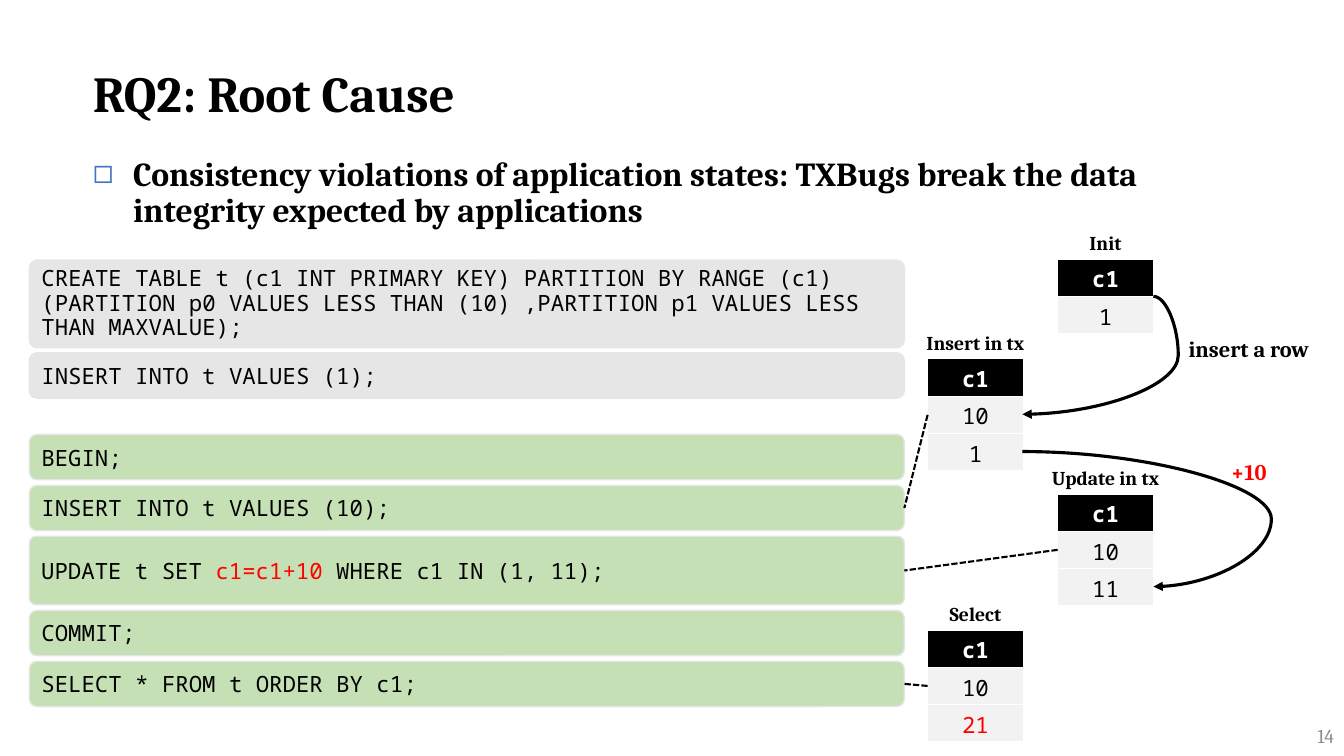
import pptx
import pptx.dml.color
import pptx.enum.dml
import pptx.enum.shapes
import pptx.enum.text
import pptx.oxml.ns
import pptx.util
from lxml import etree

PX = 9144
SERIF = "Cambria"
MONO = "Noto Sans Mono"
BLACK, WHITE, RED = "000000", "FFFFFF", "FF0000"
GREY, GREEN, CELL = "E7E6E6", "C5E0B4", "F2F2F2"
ALIGN = pptx.enum.text.PP_ALIGN
ANCHOR = pptx.enum.text.MSO_ANCHOR
FIT = pptx.enum.text.MSO_AUTO_SIZE
CONNECTOR = pptx.enum.shapes.MSO_CONNECTOR


def px(*lengths):
    return [pptx.util.Emu(round(length * PX)) for length in lengths]


def rgb(hex_color):
    return pptx.dml.color.RGBColor.from_string(hex_color)


def apply(target, values):
    for name, value in values.items():
        setattr(target, name, value)


def child(parent, tag, **attributes):
    return etree.SubElement(parent, pptx.oxml.ns.qn(tag), attributes)


def write(frame, runs, size, font=SERIF, bold=False, align=ALIGN.LEFT, spacing=None):
    paragraph = frame.paragraphs[0]
    apply(paragraph, {"alignment": align, "line_spacing": spacing,
                      "space_before": pptx.util.Pt(0)})
    for text, color in runs:
        run = paragraph.add_run()
        run.text = text
        apply(run.font, {"name": font, "size": pptx.util.Pt(size), "bold": bold})
        run.font.color.rgb = rgb(color)


def place(shape, box):
    apply(shape, dict(zip(("left", "top", "width", "height"), px(*box))))


def heading(slide, box, text):
    title = slide.shapes.title
    place(title, box)
    apply(title.text_frame, {"word_wrap": True, "auto_size": FIT.NONE,
                             "vertical_anchor": ANCHOR.BOTTOM})
    write(title.text_frame, [(text, BLACK)], 36, bold=True, spacing=pptx.util.Pt(46.7))


def finding(slide, box, text):
    body = slide.placeholders[1]
    place(body, box)
    apply(body.text_frame, {"word_wrap": True, "auto_size": FIT.NONE,
                            "vertical_anchor": ANCHOR.TOP})
    indent = px(40)[0]
    properties = body.text_frame.paragraphs[0]._p.get_or_add_pPr()
    properties.set("marL", str(indent))
    properties.set("indent", str(-indent))
    child(child(properties, "a:buClr"), "a:srgbClr", val="4472C4")
    child(properties, "a:buChar", char="◻")
    write(body.text_frame, [(text, BLACK)], 24, bold=True, spacing=0.9)


def label(slide, box, text, size=14, color=BLACK, bold=True,
          align=ALIGN.CENTER, anchor=ANCHOR.TOP):
    note = slide.shapes.add_textbox(*px(*box))
    apply(note.text_frame, {"word_wrap": True, "vertical_anchor": anchor})
    write(note.text_frame, [(text, color)], size, bold=bold, align=align)


def statements(slide, box, fill, rows):
    left, top, width, height = box
    gap = (height - sum(row[0] for row in rows)) / (len(rows) - 1)
    placed = []
    for row_height, corner, runs in rows:
        statement = slide.shapes.add_shape(
            pptx.enum.shapes.MSO_SHAPE.ROUNDED_RECTANGLE,
            *px(left, top, width, row_height))
        statement.adjustments[0] = corner
        statement.shadow.inherit = False
        statement.fill.solid()
        statement.fill.fore_color.rgb = rgb(fill)
        statement.line.color.rgb = rgb(GREY)
        statement.line.width = pptx.util.Pt(1)
        apply(statement.text_frame, {"word_wrap": True, "vertical_anchor": ANCHOR.MIDDLE})
        write(statement.text_frame, runs, 16, MONO, spacing=0.9 if row_height > 80 else None)
        placed.append(statement)
        top += row_height + gap
    return placed


def table_state(slide, box, caption, values):
    left, top, width, row_height = box
    label(slide, (left + width / 2 - 68, top - 33, 136, 34), caption)
    rows = [("c1", WHITE)] + values
    state = slide.shapes.add_table(
        len(rows), 1, *px(left, top, width, row_height * len(rows)))
    state.table.horz_banding = False
    for index, row in enumerate(rows):
        cell = state.table.cell(index, 0)
        cell.fill.solid()
        cell.fill.fore_color.rgb = rgb(CELL if index else BLACK)
        cell.vertical_anchor = ANCHOR.MIDDLE
        write(cell.text_frame, [row], 16, MONO, bold=index == 0, align=ALIGN.CENTER)
    return state


def line(slide, kind, ends, width):
    drawn = slide.shapes.add_connector(kind, *px(*ends))
    drawn.line.color.rgb = rgb(BLACK)
    drawn.line.width = pptx.util.Pt(width)
    child(drawn._element.spPr, "a:effectLst")
    return drawn


def result_link(slide, state, statement):
    link = line(slide, CONNECTOR.STRAIGHT, (0, 0, 0, 0), 1.5)
    link.line.dash_style = pptx.enum.dml.MSO_LINE.SQUARE_DOT
    link.begin_connect(state, 1)
    link.end_connect(statement, 3)


def change_arrow(slide, ends, bend):
    arrow = line(slide, CONNECTOR.CURVE, ends, 2.25)
    outline = arrow.line._get_or_add_ln()
    child(outline, "a:tailEnd", type="triangle")
    guides = arrow._element.spPr.prstGeom.get_or_add_avLst()
    child(guides, "a:gd", name="adj1", fmla=f"val {round(bend * 100000)}")


def main():
    deck = pptx.Presentation()
    deck.slide_width, deck.slide_height = px(1333, 750)
    slide = deck.slides.add_slide(deck.slide_layouts[1])

    heading(slide, (82, 34, 1184, 93), "RQ2: Root Cause")
    finding(slide, (82, 151, 1184, 91),
            "Consistency violations of application states: TXBugs break the data "
            "integrity expected by applications")
    label(slide, (1033, 710, 300, 40), "14", color="8C8C8C", bold=False,
          align=ALIGN.RIGHT, anchor=ANCHOR.MIDDLE)

    statements(slide, (29, 258, 868, 137), GREY, [
        (87, 0.09, [("CREATE TABLE t (c1 INT PRIMARY KEY) PARTITION BY RANGE (c1) "
                     "(PARTITION p0 VALUES LESS THAN (10) ,PARTITION p1 VALUES LESS "
                     "THAN MAXVALUE);", BLACK)]),
        (45, 0.17, [("INSERT INTO t VALUES (1);", BLACK)]),
    ])
    begin, insert, update, commit, select = statements(slide, (29, 431, 868, 270), GREEN, [
        (45, 0.17, [("BEGIN;", BLACK)]),
        (45, 0.17, [("INSERT INTO t VALUES (10);", BLACK)]),
        (68, 0.1, [("UPDATE t SET ", BLACK), ("c1=c1+10 ", RED),
                   ("WHERE c1 IN (1, 11);", BLACK)]),
        (45, 0.17, [("COMMIT;", BLACK)]),
        (45, 0.17, [("SELECT * FROM t ORDER BY c1;", BLACK)]),
    ])

    table_state(slide, (1049, 257, 95, 37), "Init", [("1", BLACK)])
    for left, top, caption, values, statement in (
        (920, 356, "Insert in tx", [("10", BLACK), ("1", BLACK)], insert),
        (1049, 490, "Update in tx", [("10", BLACK), ("11", BLACK)], update),
        (920, 625, "Select", [("10", BLACK), ("21", RED)], select),
    ):
        state = table_state(slide, (left, top, 95, 37), caption, values)
        result_link(slide, state, statement)

    change_arrow(slide, (1144, 294, 1014, 411), -0.19)
    label(slide, (1160, 328, 157, 37), "insert a row", size=16)
    change_arrow(slide, (1014, 448, 1144, 582), 1.9)
    label(slide, (1184, 450, 109, 37), "+10", size=16, color=RED)

    deck.save("out.pptx")


if __name__ == "__main__":
    main()
